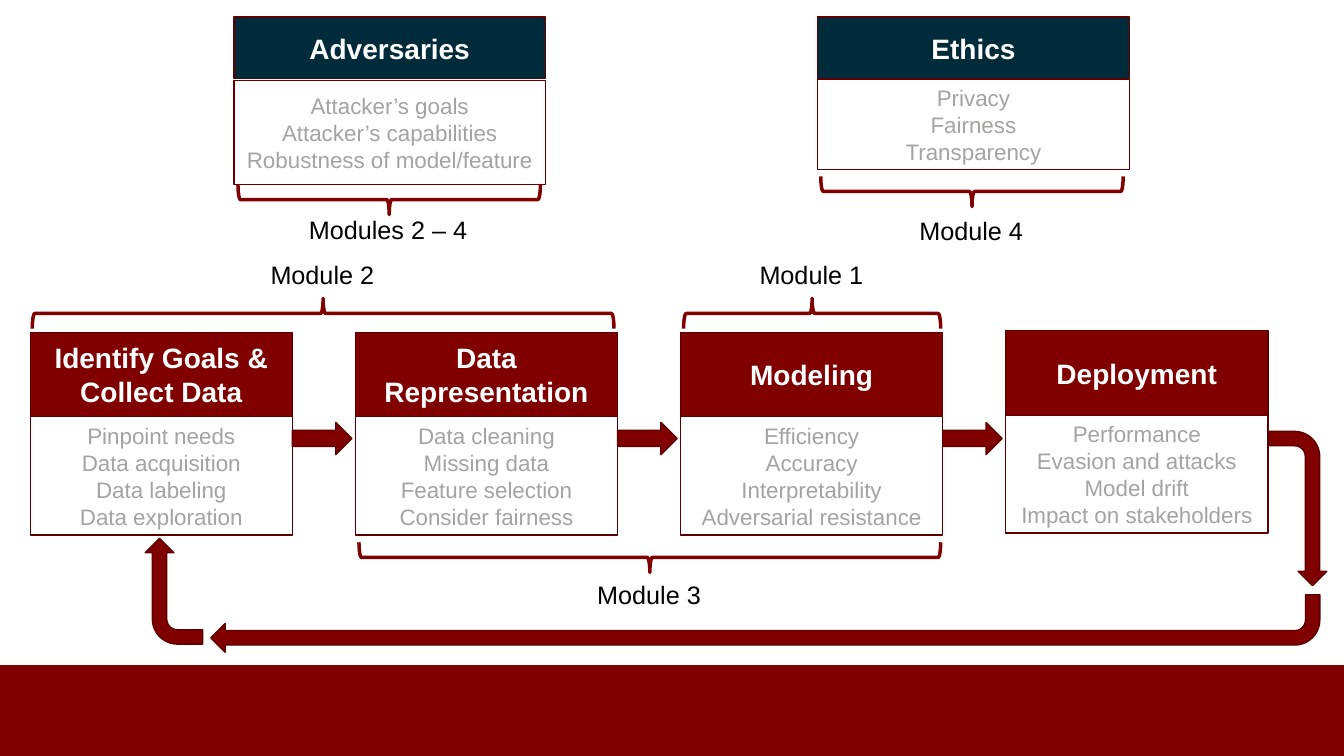
from dataclasses import dataclass

import pptx
import pptx.dml.color
import pptx.enum.shapes
import pptx.enum.text
import pptx.util

Inches = pptx.util.Inches
Shape = pptx.enum.shapes.MSO_SHAPE


@dataclass(frozen=True)
class Theme:
    font: str = "Arial"
    maroon: str = "800000"
    outline: str = "5F0000"
    navy: str = "002B3B"
    white: str = "FFFFFF"
    grey: str = "A1A4A1"
    black: str = "000000"
    heading_size: int = 20
    label_size: int = 18
    detail_size: int = 16
    outline_width: float = 1
    brace_width: float = 2.5


@dataclass(frozen=True)
class Box:
    left: float
    top: float
    width: float
    height: float


@dataclass(frozen=True)
class Card:
    heading: str
    details: tuple[str, ...]
    head: Box
    body: Box
    color: str


@dataclass(frozen=True)
class Bracket:
    label: str
    left: float
    top: float
    width: float
    label_top: float
    label_width: float
    rotation: int


@dataclass(frozen=True)
class Turn:
    box: Box
    rotation: int


THEME = Theme()
STAGE_LEFT, STAGE_STEP, STAGE_WIDTH = 0.3, 3.225, 2.6
TOPIC_WIDTH = 3.09
BRACE_DEPTH = 0.3
LABEL_HEIGHT = 0.4

STAGES = [
    ("Identify Goals & Collect Data",
     ("Pinpoint needs", "Data acquisition", "Data labeling", "Data exploration"),
     3.3, 0.83, 1.18),
    ("Data Representation",
     ("Data cleaning", "Missing data", "Feature selection", "Consider fairness"),
     3.3, 0.83, 1.18),
    ("Modeling",
     ("Efficiency", "Accuracy", "Interpretability", "Adversarial resistance"),
     3.3, 0.83, 1.18),
    ("Deployment",
     ("Performance", "Evasion and attacks", "Model drift", "Impact on stakeholders"),
     3.28, 0.84, 1.17),
]
TOPICS = [
    Card("Adversaries",
         ("Attacker’s goals", "Attacker’s capabilities", "Robustness of model/feature"),
         Box(2.32, 0.17, TOPIC_WIDTH, 0.61), Box(2.32, 0.8, TOPIC_WIDTH, 1.03), THEME.navy),
    Card("Ethics", ("Privacy", "Fairness", "Transparency"),
         Box(8.11, 0.17, TOPIC_WIDTH, 0.61), Box(8.11, 0.79, TOPIC_WIDTH, 0.89), THEME.navy),
]
BRACKETS = [
    Bracket("Modules 2 – 4", 2.36, 1.83, 3, 2.08, 1.79, 90),
    Bracket("Module 4", 8.14, 1.75, 3, 2.09, 1.24, 90),
    Bracket("Module 2", 0.32, 2.96, 5.77, 2.52, 1.24, 270),
    Bracket("Module 1", 6.78, 2.96, 2.55, 2.52, 1.24, 270),
    Bracket("Module 3", 3.56, 5.38, 5.77, 5.7, 1.24, 90),
]
RETURN_PATH = [
    Turn(Box(12.11, 4.76, 1.53, 0.57), 90),
    Turn(Box(2.09, 5.9, 11, 0.57), 180),
    Turn(Box(1.2, 5.58, 1.05, 0.57), 270),
]


def rgb(color: str) -> pptx.dml.color.RGBColor:
    return pptx.dml.color.RGBColor.from_string(color)


def add_figure(slide, kind: Shape, box: Box, fill: str | None, line: str | None,
               line_width: float = THEME.outline_width, rotation: int = 0):
    figure = slide.shapes.add_shape(
        kind, Inches(box.left), Inches(box.top), Inches(box.width), Inches(box.height))
    figure.shadow.inherit = False
    figure.rotation = rotation
    if fill:
        figure.fill.solid()
        figure.fill.fore_color.rgb = rgb(fill)
    else:
        figure.fill.background()
    if line:
        figure.line.color.rgb = rgb(line)
        figure.line.width = pptx.util.Pt(line_width)
    else:
        figure.line.fill.background()
    return figure


def write(frame, text: str, size: int, color: str, bold: bool,
          align: pptx.enum.text.PP_ALIGN) -> None:
    frame.text = text
    for paragraph in frame.paragraphs:
        paragraph.alignment = align
        for run in paragraph.runs:
            run.font.name = THEME.font
            run.font.size = pptx.util.Pt(size)
            run.font.bold = bold
            run.font.color.rgb = rgb(color)


def add_card(slide, card: Card) -> None:
    center = pptx.enum.text.PP_ALIGN.CENTER
    head = add_figure(slide, Shape.RECTANGLE, card.head, card.color, THEME.outline)
    body = add_figure(slide, Shape.RECTANGLE, card.body, THEME.white, THEME.outline)
    for part in (head, body):
        part.text_frame.word_wrap = True
        part.text_frame.vertical_anchor = pptx.enum.text.MSO_ANCHOR.MIDDLE
    write(head.text_frame, card.heading, THEME.heading_size, THEME.white, True, center)
    write(body.text_frame, "\n".join(card.details), THEME.detail_size, THEME.grey, False, center)


def add_bracket(slide, bracket: Bracket) -> None:
    center = bracket.left + bracket.width / 2
    upright = Box(center - BRACE_DEPTH / 2,
                  bracket.top + BRACE_DEPTH / 2 - bracket.width / 2,
                  BRACE_DEPTH, bracket.width)
    add_figure(slide, Shape.RIGHT_BRACE, upright, None, THEME.maroon,
               THEME.brace_width, bracket.rotation)
    label = slide.shapes.add_textbox(
        Inches(center - bracket.label_width / 2), Inches(bracket.label_top),
        Inches(bracket.label_width), Inches(LABEL_HEIGHT))
    label.text_frame.word_wrap = False
    label.text_frame.auto_size = pptx.enum.text.MSO_AUTO_SIZE.SHAPE_TO_FIT_TEXT
    write(label.text_frame, bracket.label, THEME.label_size, THEME.black, False,
          pptx.enum.text.PP_ALIGN.LEFT)


def main() -> None:
    presentation = pptx.Presentation()
    presentation.slide_width = Inches(13.33)
    presentation.slide_height = Inches(7.5)
    slide = presentation.slides.add_slide(presentation.slide_layouts[6])

    add_figure(slide, Shape.RECTANGLE, Box(0, 6.6, 13.33, 0.9), THEME.maroon, None)
    for topic in TOPICS:
        add_card(slide, topic)
    for index, (heading, details, top, head_height, body_height) in enumerate(STAGES):
        left = STAGE_LEFT + index * STAGE_STEP
        add_card(slide, Card(
            heading, details, Box(left, top, STAGE_WIDTH, head_height),
            Box(left, top + head_height, STAGE_WIDTH, body_height), THEME.maroon))
        if index < len(STAGES) - 1:
            add_figure(slide, Shape.RIGHT_ARROW, Box(left + STAGE_WIDTH, 4.19, 0.59, 0.32),
                       THEME.maroon, THEME.outline)
    for bracket in BRACKETS:
        add_bracket(slide, bracket)
    for turn in RETURN_PATH:
        add_figure(slide, Shape.BENT_ARROW, turn.box, THEME.maroon, THEME.outline,
                   rotation=turn.rotation)

    presentation.save("out.pptx")


if __name__ == "__main__":
    main()
